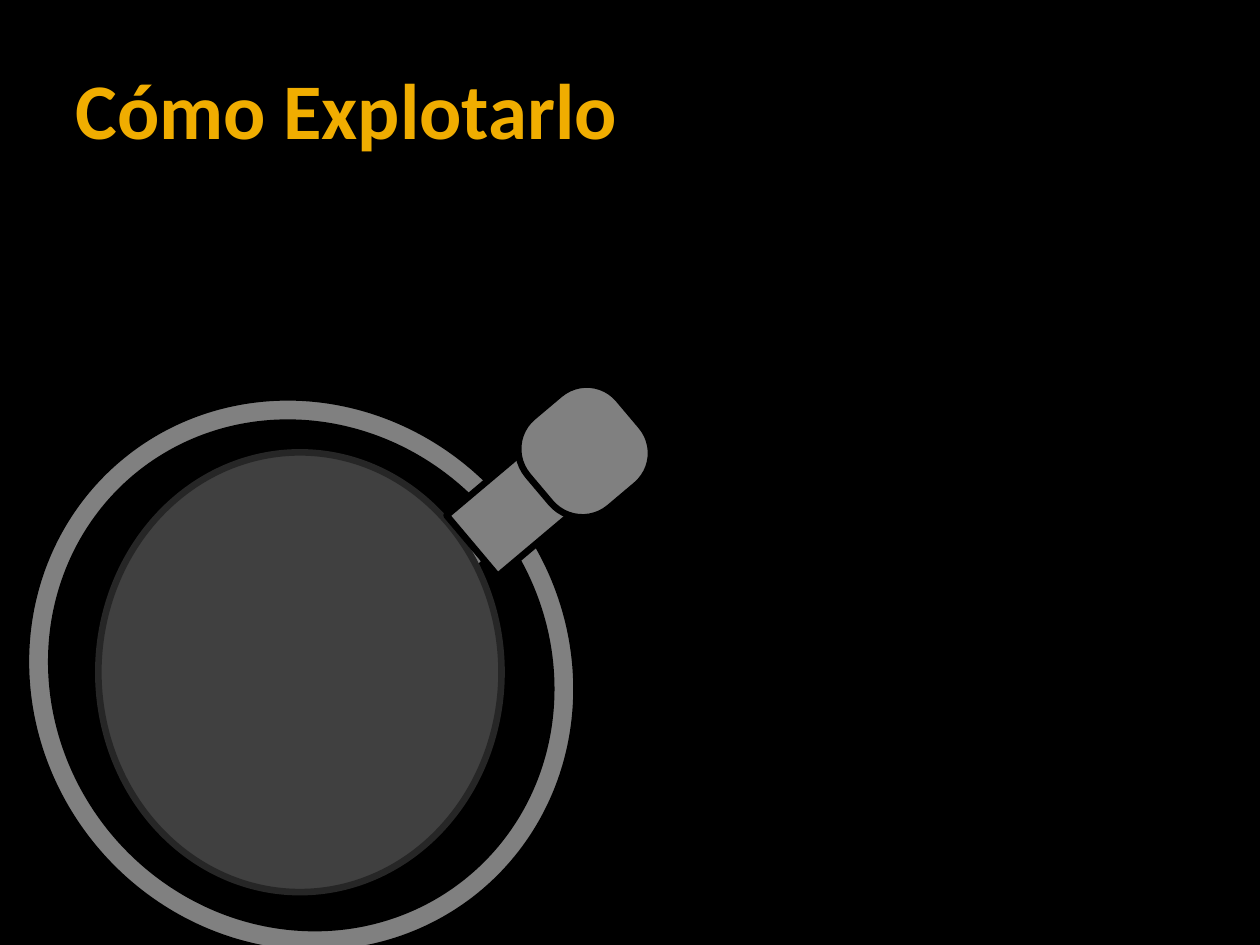
import pptx
import pptx.dml.color
import pptx.enum.shapes
import pptx.enum.text
import pptx.util

Pt = pptx.util.Pt
SHAPE = pptx.enum.shapes.MSO_SHAPE
BLACK = pptx.dml.color.RGBColor(0x00, 0x00, 0x00)
CHARCOAL = pptx.dml.color.RGBColor(0x26, 0x26, 0x26)
DARK_GRAY = pptx.dml.color.RGBColor(0x40, 0x40, 0x40)
GRAY = pptx.dml.color.RGBColor(0x80, 0x80, 0x80)
AMBER = pptx.dml.color.RGBColor(0xF0, 0xAD, 0x00)


def add_part(shapes, kind, box, fill, line=BLACK, rotation=0, adjustments=()):
    """Add one filled and outlined shape in the given box of points."""
    shape = shapes.add_shape(kind, *(Pt(length) for length in box))
    shape.shadow.inherit = False
    shape.fill.solid()
    shape.fill.fore_color.rgb = fill
    shape.line.color.rgb = line
    shape.line.width = Pt(3.78)
    shape.rotation = rotation
    for index, value in enumerate(adjustments):
        shape.adjustments[index] = value
    return shape


def add_backdrop(slide, box):
    """Cover the slide in black."""
    add_part(slide.shapes, SHAPE.RECTANGLE, box, BLACK)


def add_title(slide, box, text):
    """Add the slide title, centred vertically in its box."""
    text_box = slide.shapes.add_textbox(*(Pt(length) for length in box))
    frame = text_box.text_frame
    frame.word_wrap = True
    frame.vertical_anchor = pptx.enum.text.MSO_ANCHOR.MIDDLE
    frame.margin_left = Pt(7.2)
    frame.margin_top = frame.margin_right = frame.margin_bottom = Pt(3.6)
    run = frame.paragraphs[0].add_run()
    run.text = text
    run.font.name = "Calibri"
    run.font.size = Pt(45)
    run.font.bold = True
    run.font.color.rgb = AMBER


def add_stopwatch(slide, box):
    """Draw the watch with its ring filling the box and its crown at top right."""
    left, top, width, height = box
    shapes = slide.shapes
    for lug_top in (69.1, 69.8):
        add_part(shapes, SHAPE.ROUNDED_RECTANGLE,
                 (left + 239.8, top + lug_top, 30.2, 26.6), GRAY, rotation=317.4)
    add_part(shapes, SHAPE.OVAL, (left + 38.2, top + 34.6, 230.4, 251.3),
             DARK_GRAY, CHARCOAL)
    add_part(shapes, SHAPE.BLOCK_ARC, (left, top, width, height), GRAY,
             rotation=140.7, adjustments=(108, 107.283, 0.047))
    crown = shapes.add_group_shape().shapes
    add_part(crown, SHAPE.RECTANGLE, (left + 250.6, top + 41.8, 45.4, 56.2),
             GRAY, rotation=49.9)
    add_part(crown, SHAPE.ROUNDED_RECTANGLE, (left + 282.2, top, 67.7, 67.7),
             GRAY, rotation=49.9, adjustments=(0.351,))


def main():
    """Build and save the slide."""
    presentation = pptx.Presentation()
    presentation.slide_width = Pt(720)
    presentation.slide_height = Pt(540)
    slide = presentation.slides.add_slide(presentation.slide_layouts[6])
    add_backdrop(slide, (0, -16.6, 736.6, 573.8))
    add_title(slide, (36, 12.2, 648, 98.6), "Cómo Explotarlo")
    add_stopwatch(slide, (18, 223.9, 308.2, 324))
    presentation.save("out.pptx")


if __name__ == "__main__":
    main()
